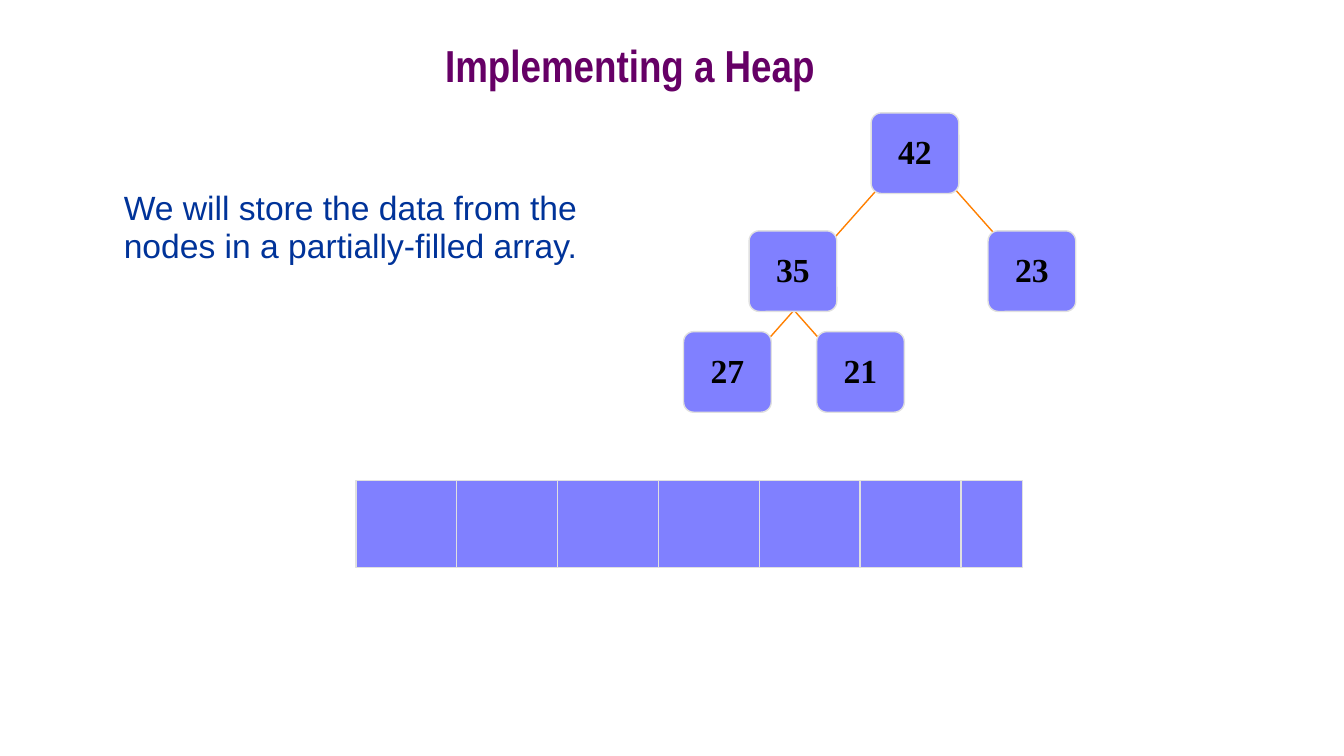
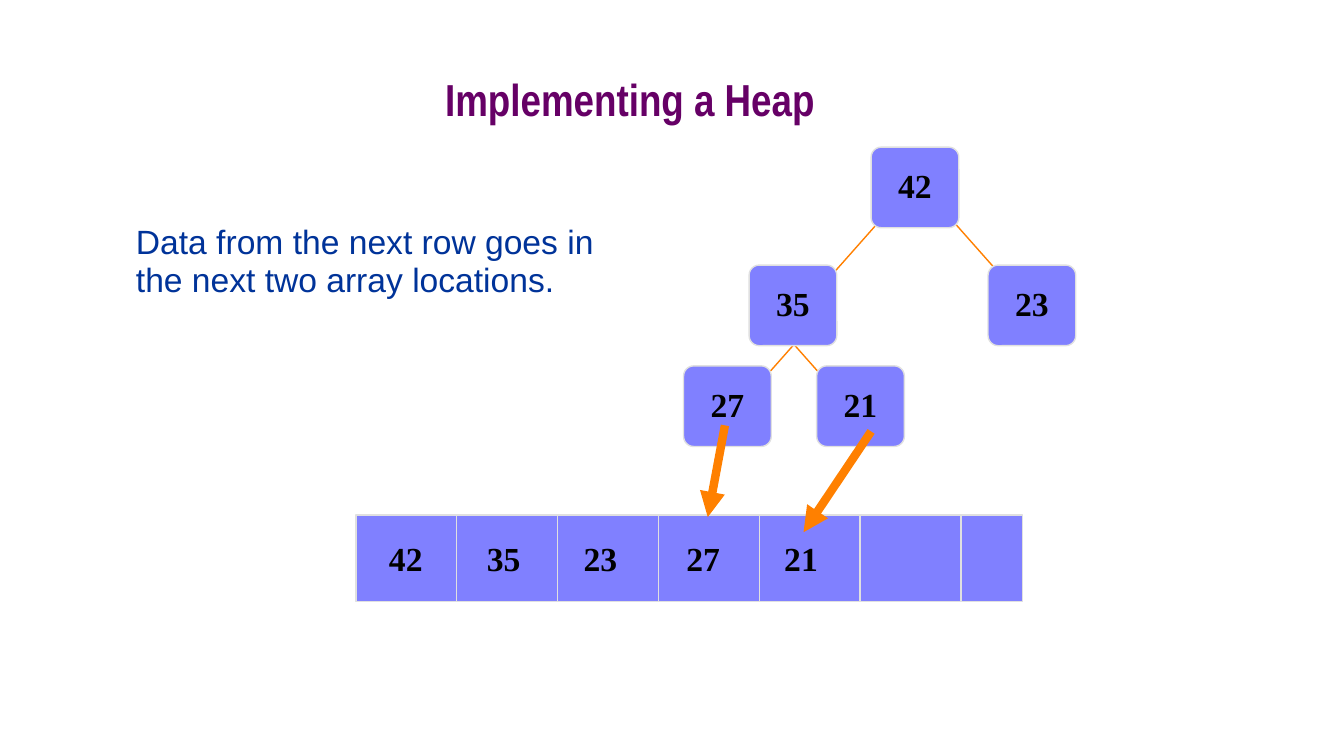
"""Build two slides that show how a heap is stored in an array."""
from dataclasses import dataclass

from lxml import etree
from pptx import Presentation
from pptx import util as u
from pptx.dml.color import RGBColor
from pptx.enum import shapes, text
from pptx.oxml import ns

COLORS = {"title": "660066", "body": "003399", "cell": "8080FF",
          "border": "E0E0E0", "edge": "FF8000", "number": "000000"}
THIN, THICK = 1, 6
NODE_WIDTH, NODE_HEIGHT = 0.87, 0.8
ARRAY_LEFT, ARRAY_TOP, ARRAY_WIDTH, ARRAY_HEIGHT = 3.53, 4.77, 6.61, 0.86
DIVIDERS = 6


@dataclass(frozen=True)
class Box:
    left: float
    top: float
    width: float
    height: float


@dataclass(frozen=True)
class Segment:
    x1: float
    y1: float
    x2: float
    y2: float


@dataclass(frozen=True)
class Label:
    value: str
    left: float
    top: float


@dataclass(frozen=True)
class Style:
    font: str
    size: int
    color: str
    bold: bool = True
    align: text.PP_ALIGN = text.PP_ALIGN.CENTER
    anchor: text.MSO_ANCHOR = text.MSO_ANCHOR.MIDDLE
    before: int = 0
    wrap: bool = True


@dataclass(frozen=True)
class HeapSlide:
    message: str
    message_box: Box
    shift: float = 0
    stored: tuple[Label, ...] = ()
    arrows: tuple[Segment, ...] = ()


TITLE = Style("Arial Narrow", 32, "title")
BODY = Style("Arial", 24, "body", False, text.PP_ALIGN.LEFT, text.MSO_ANCHOR.TOP, 7)
NODE = Style("Times New Roman", 24, "number")
STORED = Style("Times New Roman", 24, "number", align=text.PP_ALIGN.LEFT,
               anchor=text.MSO_ANCHOR.TOP, wrap=False)

TREE_NODES = (Label("21", 8.1, 3.29), Label("27", 6.78, 3.29), Label("23", 9.8, 2.29),
              Label("42", 8.64, 1.12), Label("35", 7.43, 2.29))
TREE_EDGES = (Segment(7.7, 2.88, 8.32, 3.58), Segment(8.05, 2.88, 7.43, 3.58),
              Segment(9.43, 1.83, 10.05, 2.53), Segment(8.7, 1.88, 8.08, 2.58))

SLIDES = (
    HeapSlide("We will store the data from the nodes in a partially-filled array.",
              Box(1.13, 1.83, 4.87, 0.92)),
    HeapSlide("Data from the next row goes in the next two array locations.",
              Box(1.25, 2.17, 4.88, 1.26), 0.34,
              tuple(Label(value, left, 5.32) for value, left in
                    (("42", 3.76), ("35", 4.73), ("23", 5.69), ("27", 6.71), ("21", 7.68))),
              (Segment(7.19, 4.22, 7.02, 5.13), Segment(8.64, 4.28, 7.97, 5.28))),
)


def rgb(name: str) -> RGBColor:
    return RGBColor.from_string(COLORS[name])


def place(box: Box) -> tuple[u.Length, ...]:
    return tuple(u.Inches(n) for n in (box.left, box.top, box.width, box.height))


def write(frame, words: str, style: Style) -> None:
    frame.text = words
    frame.word_wrap = style.wrap
    frame.vertical_anchor = style.anchor
    paragraph = frame.paragraphs[0]
    paragraph.alignment = style.align
    paragraph.line_spacing = 0.95
    paragraph.space_before = u.Pt(style.before)
    font = paragraph.runs[0].font
    font.name, font.size, font.bold = style.font, u.Pt(style.size), style.bold
    font.color.rgb = rgb(style.color)


def add_text(slide, box: Box, words: str, style: Style) -> None:
    write(slide.shapes.add_textbox(*place(box)).text_frame, words, style)


def add_cell(slide, box: Box, rounding: float):
    cell = slide.shapes.add_shape(shapes.MSO_SHAPE.ROUNDED_RECTANGLE, *place(box))
    cell.adjustments[0] = rounding
    cell.shadow.inherit = False
    cell.fill.solid()
    cell.fill.fore_color.rgb = rgb("cell")
    cell.line.color.rgb = rgb("border")
    cell.line.width = u.Pt(THIN)
    return cell


def add_line(slide, segment: Segment, color: str, width: float = THIN,
             shift: float = 0, arrow: bool = False) -> None:
    line = slide.shapes.add_connector(
        shapes.MSO_CONNECTOR.STRAIGHT,
        u.Inches(segment.x1), u.Inches(segment.y1 + shift),
        u.Inches(segment.x2), u.Inches(segment.y2 + shift))
    line.line.color.rgb = rgb(color)
    line.line.width = u.Pt(width)
    if arrow:
        etree.SubElement(line.line._get_or_add_ln(), ns.qn("a:tailEnd"), type="triangle")
    etree.SubElement(line._element.spPr, ns.qn("a:effectLst"))


def add_array(slide, shift: float) -> None:
    top = ARRAY_TOP + shift
    add_cell(slide, Box(ARRAY_LEFT, top, ARRAY_WIDTH, ARRAY_HEIGHT), 0)
    for index in range(1, DIVIDERS + 1):
        x = ARRAY_LEFT + index
        add_line(slide, Segment(x, top, x, top + ARRAY_HEIGHT), "border")


def add_tree(slide, shift: float) -> None:
    for edge in TREE_EDGES:
        add_line(slide, edge, "edge", shift=shift)
    for node in TREE_NODES:
        box = Box(node.left, node.top + shift, NODE_WIDTH, NODE_HEIGHT)
        write(add_cell(slide, box, 0.126).text_frame, node.value, NODE)


def add_heap_slide(deck, content: HeapSlide) -> None:
    slide = deck.slides.add_slide(deck.slide_layouts[6])
    add_text(slide, Box(2, 0.04 + content.shift, 8.5, 1.25), "Implementing a Heap", TITLE)
    add_text(slide, content.message_box, content.message, BODY)
    add_array(slide, content.shift)
    add_tree(slide, content.shift)
    for arrow in content.arrows:
        add_line(slide, arrow, "edge", THICK, arrow=True)
    for number in content.stored:
        add_text(slide, Box(number.left, number.top, 0.53, 0.5), number.value, STORED)


def main() -> None:
    deck = Presentation()
    deck.slide_width, deck.slide_height = u.Inches(13.33), u.Inches(7.5)
    for content in SLIDES:
        add_heap_slide(deck, content)
    deck.save("out.pptx")


main()
